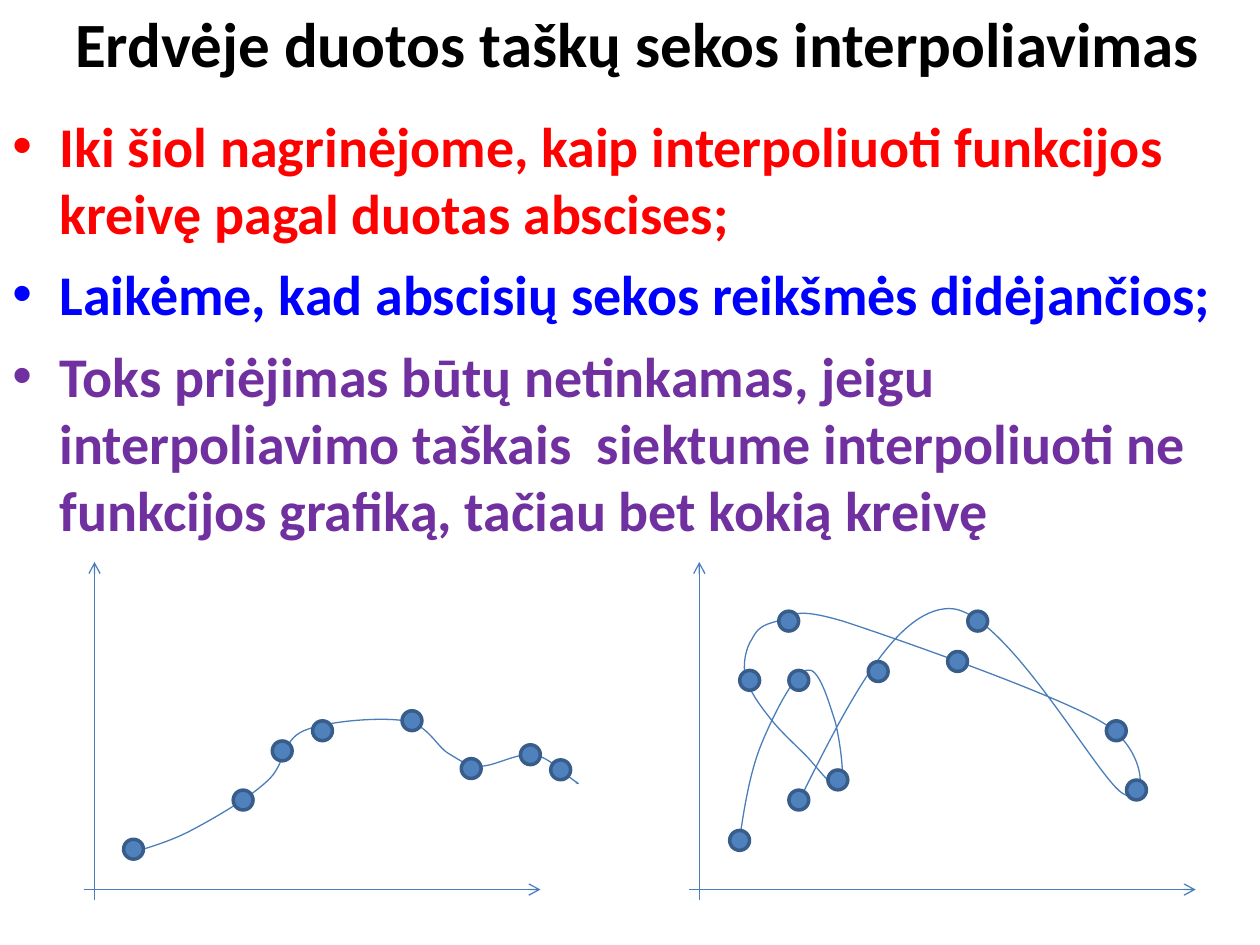
"""Draw a slide on interpolating a sequence of points in space."""
from dataclasses import dataclass

from lxml.etree import SubElement
from pptx import Presentation
from pptx.dml.color import RGBColor
from pptx.enum.shapes import MSO_CONNECTOR, MSO_SHAPE
from pptx.enum.text import MSO_ANCHOR, PP_ALIGN
from pptx.oxml.ns import qn
from pptx.util import Inches, Pt

COLS, ROWS = 1000, 750
WIDE, HIGH = Inches(10), Inches(7.5)
FONT = "Calibri"
LINE, FILL, RIM = "4A7EBB", "4F81BD", "385D8A"
DOT = 15.75
HANG = 37.5

Point = tuple[float, float]


@dataclass
class Item:
    text: str
    color: str


@dataclass
class Plot:
    left: int
    right: int
    start: Point
    bends: list[tuple[Point, Point, Point]]
    dots: list[Point]


TITLE = "Erdvėje duotos taškų sekos interpoliavimas"
ITEMS = [
    Item("Iki šiol nagrinėjome, kaip interpoliuoti funkcijos kreivę pagal duotas abscises;", "FF0000"),
    Item("Laikėme, kad abscisių sekos reikšmės didėjančios;", "0000FF"),
    Item("Toks priėjimas būtų netinkamas, jeigu interpoliavimo taškais  siektume "
         "interpoliuoti ne funkcijos grafiką, tačiau bet kokią kreivę", "7030A0"),
]
PLOTS = [
    Plot(75, 429, (101, 678), [
        ((116, 673), (132, 669), (150, 660)),
        ((169, 650), (197, 634), (212, 620)),
        ((227, 607), (223, 588), (241, 580)),
        ((260, 572), (302, 569), (321, 572)),
        ((340, 575), (346, 592), (356, 598)),
        ((366, 604), (371, 608), (382, 608)),
        ((393, 608), (411, 597), (424, 599)),
        ((436, 601), (449, 615), (455, 619)),
        ((461, 623), (459, 622), (457, 621)),
    ], [(106, 674), (193, 635), (224, 596), (256, 580),
        (327, 572), (374, 610), (421, 599), (445, 611)]),
    Plot(555, 949, (586, 673), [
        ((590, 646), (594, 618), (603, 594)),
        ((612, 571), (630, 535), (640, 532)),
        ((650, 528), (658, 558), (663, 573)),
        ((667, 589), (671, 620), (667, 625)),
        ((663, 629), (648, 608), (639, 599)),
        ((630, 590), (620, 581), (612, 571)),
        ((604, 561), (595, 549), (592, 538)),
        ((589, 528), (592, 514), (597, 507)),
        ((601, 499), (605, 496), (617, 493)),
        ((629, 491), (625, 480), (669, 493)),
        ((712, 507), (840, 552), (876, 574)),
        ((913, 597), (911, 644), (890, 629)),
        ((869, 614), (796, 482), (753, 483)),
        ((710, 484), (672, 560), (634, 636)),
    ], [(587, 667), (634, 540), (665, 619), (595, 540), (626, 493), (760, 525),
        (886, 580), (902, 627), (776, 493), (697, 533), (634, 635)]),
]


def col(num: float) -> int:
    """Turn grid columns into a length."""
    return round(WIDE * num / COLS)


def row(num: float) -> int:
    """Turn grid rows into a length."""
    return round(HIGH * num / ROWS)


def paint(form, color: str) -> None:
    """Set a solid colour on a fill."""
    form.solid()
    form.fore_color.rgb = RGBColor.from_string(color)


def stroke(shape, color: str, size: float) -> None:
    """Set the line colour and width of a shape."""
    paint(shape.line.fill, color)
    shape.line.width = Pt(size)


def write(para, text: str, size: int, color: str) -> None:
    """Fill a paragraph with bold text."""
    para.text = text
    for run in para.runs:
        run.font.name, run.font.size, run.font.bold = FONT, Pt(size), True
        paint(run.font.fill, color)


def frame(slide, left: float, top: float, wide: float, high: float):
    """Add a wrapping text box and return its text frame."""
    box = slide.shapes.add_textbox(col(left), row(top), col(wide), row(high))
    box.text_frame.word_wrap = True
    return box.text_frame


def bullet(para, color: str) -> None:
    """Give a paragraph a coloured bullet and a hanging indent."""
    props = para._p.get_or_add_pPr()
    props.set("marL", str(col(HANG)))
    props.set("indent", str(-col(HANG)))
    tint = SubElement(props, qn("a:buClr"))
    SubElement(tint, qn("a:srgbClr"), val=color)
    SubElement(props, qn("a:buFont"), typeface="Arial")
    SubElement(props, qn("a:buChar"), char="•")


def axis(slide, start: Point, end: Point) -> None:
    """Draw an axis with an open arrowhead at its end."""
    line = slide.shapes.add_connector(
        MSO_CONNECTOR.STRAIGHT, col(start[0]), row(start[1]), col(end[0]), row(end[1]))
    stroke(line, LINE, 0.75)
    SubElement(line.line._get_or_add_ln(), qn("a:tailEnd"), type="arrow")
    SubElement(line._element.spPr, qn("a:effectLst"))


def soften(shape) -> None:
    """Turn each three straight steps of an outline into one cubic bend."""
    steps = list(shape._element.iter(qn("a:lnTo")))
    route = steps[0].getparent()
    for first in range(0, len(steps), 3):
        bend = SubElement(route, qn("a:cubicBezTo"))
        for step in steps[first:first + 3]:
            bend.append(step[0])
            route.remove(step)


def curve(slide, plot: Plot) -> None:
    """Draw the curve of a plot."""
    build = slide.shapes.build_freeform(col(plot.start[0]), row(plot.start[1]))
    spots = [(col(x), row(y)) for bend in plot.bends for x, y in bend]
    build.add_line_segments(spots, close=False)
    shape = build.convert_to_shape()
    soften(shape)
    shape.fill.background()
    shape.shadow.inherit = False
    stroke(shape, LINE, 0.75)


def dot(slide, spot: Point) -> None:
    """Draw a round marker centred on a point."""
    shape = slide.shapes.add_shape(
        MSO_SHAPE.OVAL, col(spot[0] - DOT / 2), row(spot[1] - DOT / 2), col(DOT), row(DOT))
    paint(shape.fill, FILL)
    stroke(shape, RIM, 2)
    shape.shadow.inherit = False


def chart(slide, plot: Plot) -> None:
    """Draw the axes, curve and markers of a plot."""
    axis(slide, (plot.left - 8, 706), (plot.right, 706))
    axis(slide, (plot.left, 714), (plot.left, 446))
    curve(slide, plot)
    for spot in plot.dots:
        dot(slide, spot)


def main() -> None:
    """Build and save the slide."""
    deck = Presentation()
    deck.slide_width, deck.slide_height = WIDE, HIGH
    slide = deck.slides.add_slide(deck.slide_layouts[6])
    head = frame(slide, 12, 0, 988, 67.5)
    head.vertical_anchor = MSO_ANCHOR.MIDDLE
    head.paragraphs[0].alignment = PP_ALIGN.CENTER
    write(head.paragraphs[0], TITLE, 36, "000000")
    body = frame(slide, 0, 83.5, 980, 378)
    for num, item in enumerate(ITEMS):
        para = body.add_paragraph() if num else body.paragraphs[0]
        para.space_before = Pt(8)
        write(para, item.text, 32, item.color)
        bullet(para, item.color)
    for plot in PLOTS:
        chart(slide, plot)
    deck.save("out.pptx")


if __name__ == "__main__":
    main()
